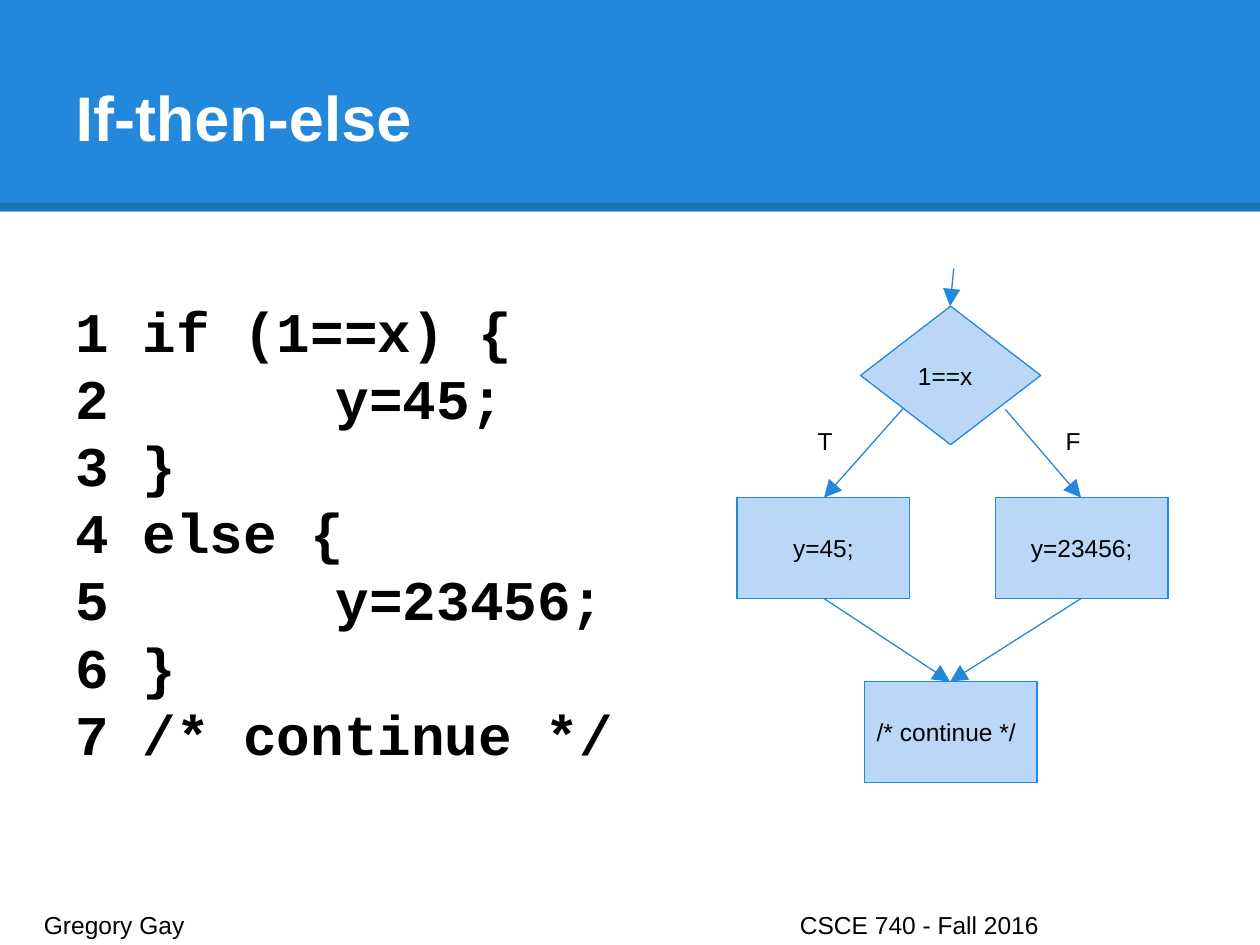
import pptx
import pptx.util
import pptx.dml.color
import pptx.enum.shapes
import pptx.enum.text
import pptx.oxml
import pptx.oxml.ns

Inches, Pt = pptx.util.Inches, pptx.util.Pt
RGBColor = pptx.dml.color.RGBColor
SHAPE = pptx.enum.shapes.MSO_SHAPE
ALIGN = pptx.enum.text.PP_ALIGN
ANCHOR = pptx.enum.text.MSO_ANCHOR
NS = pptx.oxml.ns.nsdecls("a")

BLUE = RGBColor(0x23, 0x88, 0xDB)
PALE = RGBColor(0xBB, 0xD7, 0xF8)
BLACK = RGBColor(0, 0, 0)
WHITE = RGBColor(255, 255, 255)


def set_text(sp, text, size=14, font="Arial", color=BLACK, bold=False,
             align=ALIGN.LEFT, anchor=ANCHOR.TOP, insets=(0.1, 0.1, 0.1, 0.1),
             spacing=None, tab=None):
    tf = sp.text_frame
    tf.word_wrap = True
    tf.auto_size = pptx.enum.text.MSO_AUTO_SIZE.NONE
    tf.vertical_anchor = anchor
    tf.margin_left, tf.margin_top, tf.margin_right, tf.margin_bottom = map(Inches, insets)
    tf.text = text
    for p in tf.paragraphs:
        p.alignment = align
        if spacing:
            p.line_spacing = Pt(spacing)
        if tab:
            p._p.get_or_add_pPr().append(pptx.oxml.parse_xml(
                f'<a:tabLst {NS}><a:tab pos="{Inches(tab)}" algn="l"/></a:tabLst>'))
        for r in p.runs:
            r.font.name, r.font.size, r.font.bold = font, Pt(size), bold
            r.font.color.rgb = color


def add_line(s, start, end, color=BLUE, width=0.75, arrow=True):
    ln = s.shapes.add_connector(pptx.enum.shapes.MSO_CONNECTOR.STRAIGHT,
                                *map(Inches, start + end))
    ln.line.color.rgb, ln.line.width = color, Pt(width)
    ln._element.spPr.append(pptx.oxml.parse_xml(f"<a:effectLst {NS}/>"))
    if arrow:
        ln.line._get_or_add_ln().append(
            pptx.oxml.parse_xml(f'<a:tailEnd {NS} type="triangle" w="lg" len="lg"/>'))
    return ln


prs = pptx.Presentation()
prs.slide_width, prs.slide_height = Inches(10), Inches(7.5)
s = prs.slides.add_slide(prs.slide_layouts[5])
title = s.shapes.title

# Header band and its translucent rule, behind the title
band = s.shapes.add_shape(SHAPE.RECTANGLE, 0, 0, Inches(10), Inches(1.68))
band.shadow.inherit = False
band.fill.solid()
band.fill.fore_color.rgb = BLUE
band.line.fill.background()
rule = add_line(s, (0, 1.64), (10, 1.64), color=BLACK, width=4.5, arrow=False)
rgb = rule.line._get_or_add_ln().find(".//" + pptx.oxml.ns.qn("a:srgbClr"))
rgb.append(pptx.oxml.parse_xml(f'<a:alpha {NS} val="15000"/>'))
for sp in (band, rule):
    title.element.addprevious(sp.element)

# Title
title.left, title.top = Inches(0.5), Inches(0.3)
title.width, title.height = Inches(8.77), Inches(1.25)
set_text(title, "If-then-else", size=36, color=WHITE, bold=True,
         anchor=ANCHOR.MIDDLE, insets=(0.1, 0.05, 0.05, 0.05))

# Code listing
code = """1 if (1==x) {
2\t    y=45;
3 }
4 else {
5\t    y=23456;
6 }
7 /* continue */"""
sp = s.shapes.add_textbox(Inches(0.5), Inches(2.25), Inches(4.9), Inches(3.83))
set_text(sp, code, size=32, font="Courier New", bold=True, spacing=38.4,
         insets=(0.1, 0.1, 0.1, 0.05), tab=1)

# Flowchart nodes
nodes = [
    (SHAPE.RECTANGLE, 5.85, 3.95, 1.37, 0.8, "y=45;", ALIGN.CENTER),
    (SHAPE.RECTANGLE, 7.9, 3.95, 1.37, 0.8, "y=23456;", ALIGN.CENTER),
    (SHAPE.RECTANGLE, 6.86, 5.41, 1.37, 0.8, "/* continue */", ALIGN.LEFT),
    (SHAPE.DIAMOND, 6.83, 2.43, 1.43, 1.1, "1==x", ALIGN.LEFT),
]
for kind, x, y, w, h, text, align in nodes:
    sp = s.shapes.add_shape(kind, Inches(x), Inches(y), Inches(w), Inches(h))
    sp.shadow.inherit = False
    sp.fill.solid()
    sp.fill.fore_color.rgb = PALE
    sp.line.color.rgb, sp.line.width = BLUE, Pt(0.75)
    set_text(sp, text, align=align, anchor=ANCHOR.MIDDLE)

# Flowchart arrows: entry, two branches, two joins
for start, end in [
    ((7.57, 2.13), (7.54, 2.43)),
    ((7.17, 3.24), (6.54, 3.95)),
    ((7.98, 3.25), (8.58, 3.95)),
    ((6.54, 4.75), (7.54, 5.41)),
    ((8.58, 4.75), (7.54, 5.41)),
]:
    add_line(s, start, end)

# Branch labels
for x, text in [(6.39, "T"), (8.36, "F")]:
    sp = s.shapes.add_textbox(Inches(x), Inches(3.28), Inches(0.44), Inches(0.3))
    set_text(sp, text)

# Footer
sp = s.shapes.add_textbox(Inches(0.25), Inches(7.12), Inches(9.51), Inches(0.3))
set_text(sp, "Gregory Gay\tCSCE 740 - Fall 2016", tab=6)

prs.save("out.pptx")
